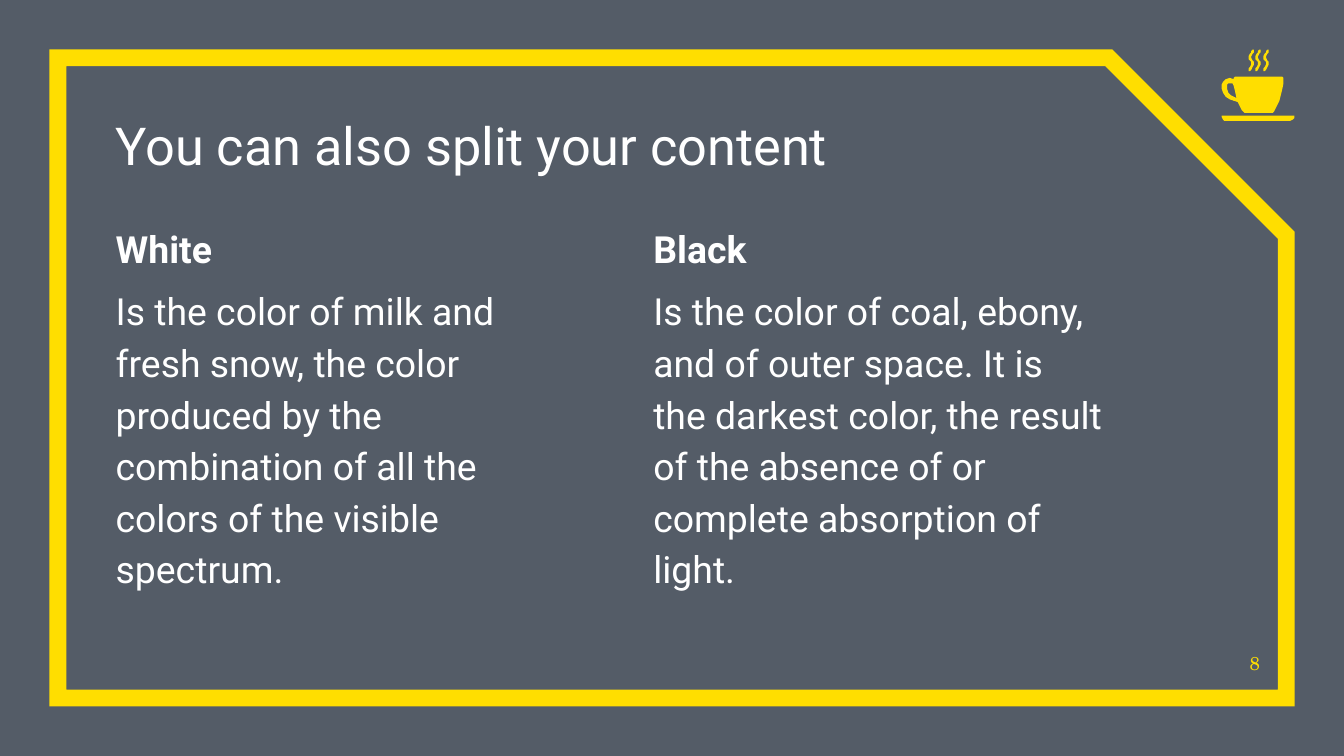
from lxml.etree import SubElement
from pptx import Presentation
from pptx.dml.color import RGBColor
from pptx.enum.shapes import MSO_SHAPE
from pptx.enum.text import MSO_ANCHOR, MSO_AUTO_SIZE, PP_ALIGN
from pptx.oxml.ns import qn
from pptx.util import Pt

COLORS = {"slate": "545C67", "yellow": "FFDE00", "white": "FFFFFF", "shadow": "000000"}
TITLE = "You can also split your content"
COLUMNS = [
    ("White", "Is the color of milk and fresh snow, the color produced by the "
              "combination of all the colors of the visible spectrum."),
    ("Black", "Is the color of coal, ebony, and of outer space. It is the darkest color, "
              "the result of the absence of or complete absorption of light."),
]
PAGE = "8"

UNIT = Pt(0.72)
HANDLE_HOLE = [
    (915, 62), (917, 62), (918, 64), (919, 68), (920, 73), (918, 72), (916, 71),
    (914, 69), (913, 66), (913, 63), (914, 62),
]
CUP = [
    (919, 57), (918, 58), (918, 59), (915, 58), (912, 59), (910, 61), (909, 63),
    (909, 66), (910, 69), (912, 72), (915, 74), (918, 75), (921, 76), (922, 78),
    (924, 82), (925, 83), (926, 84), (947, 84), (948, 83), (950, 79), (952, 75),
    (953, 71), (954, 67), (955, 62), (955, 58), (954, 57),
]
SAUCER = [
    (909, 86), (909, 87), (910, 89), (911, 90), (913, 90), (960, 90), (962, 89),
    (963, 88), (963, 86),
]
STEAM = [
    (932, 37), (931, 38), (931, 39), (930, 40), (929, 42), (929, 44), (930, 45),
    (931, 46), (931, 48), (930, 50), (929, 51), (929, 53), (930, 53), (931, 52),
    (932, 50), (933, 48), (933, 46), (932, 45), (931, 43), (931, 42), (932, 40),
    (933, 39), (933, 37),
]
STEAM_SHIFTS = [0, 5, 11]


def rgb(name):
    return RGBColor.from_string(COLORS[name])


def set_frame(sp, left, top, width, height, anchor=MSO_ANCHOR.TOP):
    sp.left, sp.top, sp.width, sp.height = Pt(left), Pt(top), Pt(width), Pt(height)
    tf = sp.text_frame
    tf.word_wrap = True
    tf.auto_size = MSO_AUTO_SIZE.NONE
    tf.vertical_anchor = anchor
    tf.margin_left = tf.margin_top = tf.margin_right = tf.margin_bottom = 0
    return tf


def set_font(p, size, color="white", name="Roboto", bold=False):
    p.font.size, p.font.name, p.font.bold = Pt(size), name, bold
    p.font.color.rgb = rgb(color)


def add_text(s, *box, anchor=MSO_ANCHOR.TOP):
    return set_frame(s.shapes.add_textbox(0, 0, 0, 0), *box, anchor=anchor)


def add_outline(s, *contours):
    fb = None
    for start, *points in contours:
        if fb is None:
            fb = s.shapes.build_freeform(*start, scale=UNIT)
        else:
            fb.move_to(*start)
        fb.add_line_segments(points, close=True)
    sp = fb.convert_to_shape()
    sp.shadow.inherit = False
    sp.fill.solid()
    sp.fill.fore_color.rgb = rgb("yellow")
    sp.line.fill.background()


prs = Presentation()
prs.slide_width, prs.slide_height = Pt(720), Pt(405)
s = prs.slides.add_slide(prs.slide_layouts[5])
s.background.fill.solid()
s.background.fill.fore_color.rgb = rgb("slate")

frame = s.shapes.add_shape(MSO_SHAPE.SNIP_1_RECTANGLE, Pt(31), Pt(31), Pt(658), Pt(343))
frame.adjustments[0] = 0.277
frame.shadow.inherit = False
frame.fill.background()
frame.line.color.rgb = rgb("yellow")
frame.line.width = Pt(9)
SubElement(frame.line._ln, qn("a:miter"), lim="800000")

tf = set_frame(s.shapes.title, 62, 56.2, 529, 38, MSO_ANCHOR.BOTTOM)
p = tf.paragraphs[0]
r = p.add_run()
r.text = TITLE
p.alignment = PP_ALIGN.LEFT
set_font(p, 28)
effects = SubElement(r._r.get_or_add_rPr(), qn("a:effectLst"))
shadow = SubElement(effects, qn("a:outerShdw"), blurRad=str(Pt(3)), dist=str(Pt(2)), dir="2700000")
tint = SubElement(shadow, qn("a:srgbClr"), val=COLORS["shadow"])
SubElement(tint, qn("a:alpha"), val="50000")

for i, (heading, body) in enumerate(COLUMNS):
    tf = add_text(s, 62 + 288 * i, 117.4, 241, 224)
    tf.text = f"{heading}\n{body}"
    for p, bold, gap in zip(tf.paragraphs, (True, False), (0, 6)):
        p.line_spacing = 1.15
        p.space_before = Pt(gap)
        set_font(p, 20, bold=bold)

tf = add_text(s, 655.5, 341, 19.5, 20, anchor=MSO_ANCHOR.BOTTOM)
tf.text = PAGE
tf.paragraphs[0].alignment = PP_ALIGN.RIGHT
set_font(tf.paragraphs[0], 10, "yellow", "TeX Gyre Schola")

add_outline(s, CUP, HANDLE_HOLE)
add_outline(s, SAUCER)
for shift in STEAM_SHIFTS:
    add_outline(s, [(x + shift, y) for x, y in STEAM])

prs.save("out.pptx")
